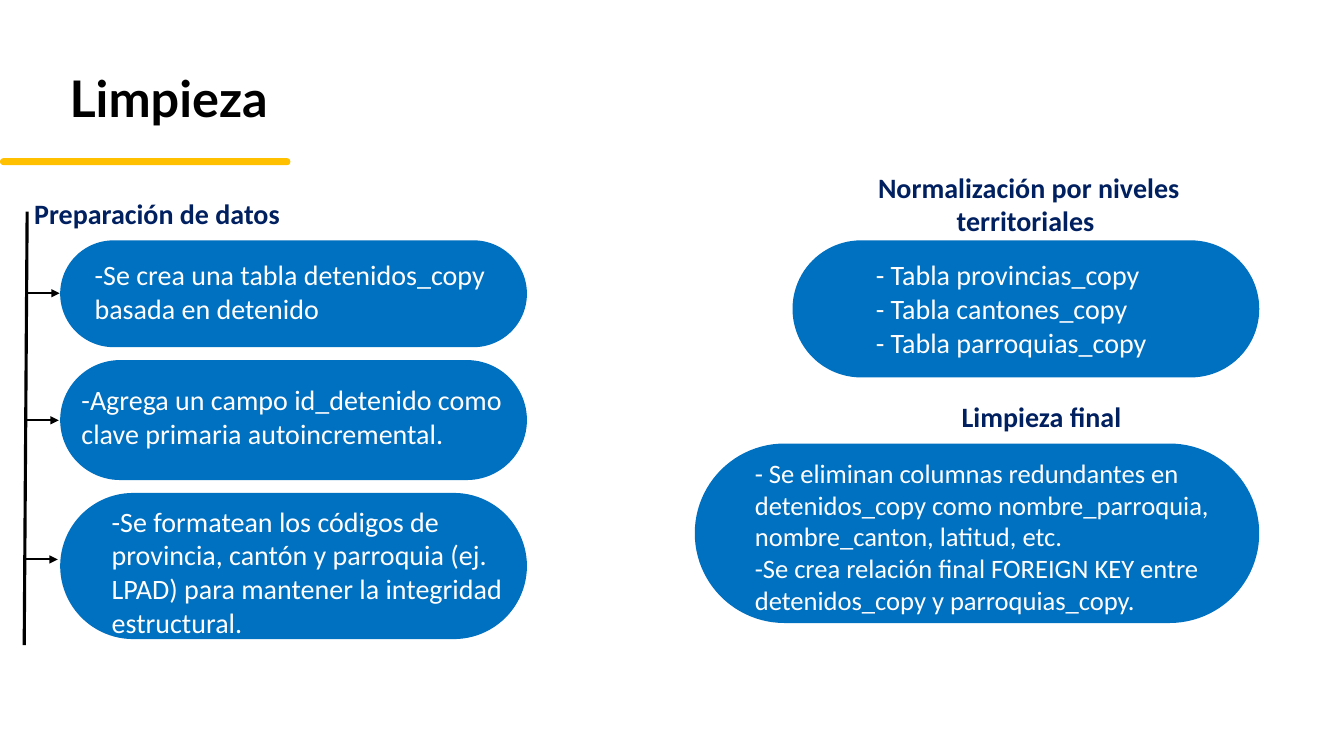
import pptx
import pptx.util
import pptx.dml.color
import pptx.enum.shapes
import pptx.enum.text
from dataclasses import dataclass
from lxml import etree

Pt = pptx.util.Pt
SHAPE = pptx.enum.shapes.MSO_SHAPE
ALIGN = pptx.enum.text.PP_ALIGN
ANCHOR = pptx.enum.text.MSO_ANCHOR


@dataclass(frozen=True)
class Theme:
    ink: str = "000000"
    navy: str = "002060"
    blue: str = "0070C0"
    gold: str = "FFC000"
    white: str = "FFFFFF"
    head: str = "Lato"
    body: str = "Calibri"
    big: int = 36
    mid: int = 20
    small: int = 19


theme = Theme()

title = "Limpieza"
steps = [
    ("-Se crea una tabla detenidos_copy basada en detenido",
     (60.5, 180.7, 293.8, 55.4), 76.3, 209.5),
    ("-Agrega un campo id_detenido como clave primaria autoincremental.",
     (51.1, 270, 316.8, 55.4), 85.7, 300.2),
    ("-Se formatean los códigos de provincia, cantón y parroquia (ej. LPAD) "
     "para mantener la integridad estructural.",
     (72.7, 356.6, 295.2, 104.4), 104.4, 399.6),
]
heads = [
    ("Preparación de datos", (17.3, 136.8, 216.7, 31.7), ALIGN.LEFT),
    (" Normalización por niveles territoriales",
     (565.9, 118.1, 333.4, 55.4), ALIGN.CENTER),
    (" Limpieza final", (583.9, 281.5, 315.4, 31.7), ALIGN.CENTER),
]
cards = [
    ("- Tabla provincias_copy\n- Tabla cantones_copy\n- Tabla parroquias_copy",
     (618.5, 180.7, 228.2, 79.9), (171.7, 333.4, 97.9), theme.mid),
    ("- Se eliminan columnas redundantes en detenidos_copy como "
     "nombre_parroquia, nombre_canton, latitud, etc.\n"
     "-Se crea relación final FOREIGN KEY entre detenidos_copy y "
     "parroquias_copy.",
     (532.1, 322.6, 385.2, 122.4), (316.8, 403.2, 128.2), theme.small),
]

left, top, wide, gap = 43, 171.7, 333.4, 9.2
right = 899.5
spine = (19.4, 151.2, 17.3, 460.8)
reach = 23.6

deck = pptx.Presentation()
deck.slide_width, deck.slide_height = Pt(960), Pt(540)
slide = deck.slides.add_slide(deck.slide_layouts[5])
shapes = slide.shapes


def color(code):
    return pptx.dml.color.RGBColor.from_string(code)


def write(text, box, item=None, font=theme.body, size=theme.mid,
          tint=theme.white, bold=False, align=ALIGN.LEFT,
          anchor=ANCHOR.TOP, space=1.0):
    spot = [Pt(n) for n in box]
    if item is None:
        item = shapes.add_textbox(*spot)
    else:
        item.left, item.top, item.width, item.height = spot
    frame = item.text_frame
    frame.word_wrap = True
    frame.auto_size = pptx.enum.text.MSO_AUTO_SIZE.NONE
    frame.vertical_anchor = anchor
    frame.text = text
    for para in frame.paragraphs:
        para.alignment = align
        para.line_spacing = space
        for run in para.runs:
            run.font.name = font
            run.font.size = Pt(size)
            run.font.bold = bold
            run.font.color.rgb = color(tint)


def pill(box, tint=theme.blue):
    item = shapes.add_shape(SHAPE.ROUNDED_RECTANGLE, *[Pt(n) for n in box])
    item.adjustments[0] = 0.5
    item.shadow.inherit = False
    item.fill.solid()
    item.fill.fore_color.rgb = color(tint)
    item.line.fill.background()


def link(ends, width, arrow=False):
    item = shapes.add_connector(
        pptx.enum.shapes.MSO_CONNECTOR.STRAIGHT, *[Pt(n) for n in ends])
    item.line.color.rgb = color(theme.ink)
    item.line.width = Pt(width)
    if arrow:
        tail = etree.SubElement(item.line._get_or_add_ln(),
                                pptx.oxml.ns.qn("a:tailEnd"))
        tail.set("type", "triangle")
    etree.SubElement(item._element.spPr, pptx.oxml.ns.qn("a:effectLst"))


write(title, (42.5, 49, 216, 46.8), item=shapes.title, font=theme.head,
      size=theme.big, tint=theme.ink, bold=True, anchor=ANCHOR.MIDDLE,
      space=0.9)
pill((0, 113, 207.4, 5), theme.gold)

link(spine, 2.25)
y = top
for text, box, high, mark in steps:
    pill((left, y, wide, high))
    write(text, box)
    part = (mark - spine[1]) / (spine[3] - spine[1])
    start = spine[0] + part * (spine[2] - spine[0])
    link((start, mark, start + reach, mark), 1.5, arrow=True)
    y += high + gap

for text, box, (y, width, high), size in cards:
    pill((right - width, y, width, high))
    write(text, box, size=size)

for text, box, align in heads:
    write(text, box, tint=theme.navy, bold=True, align=align)

deck.save("out.pptx")
